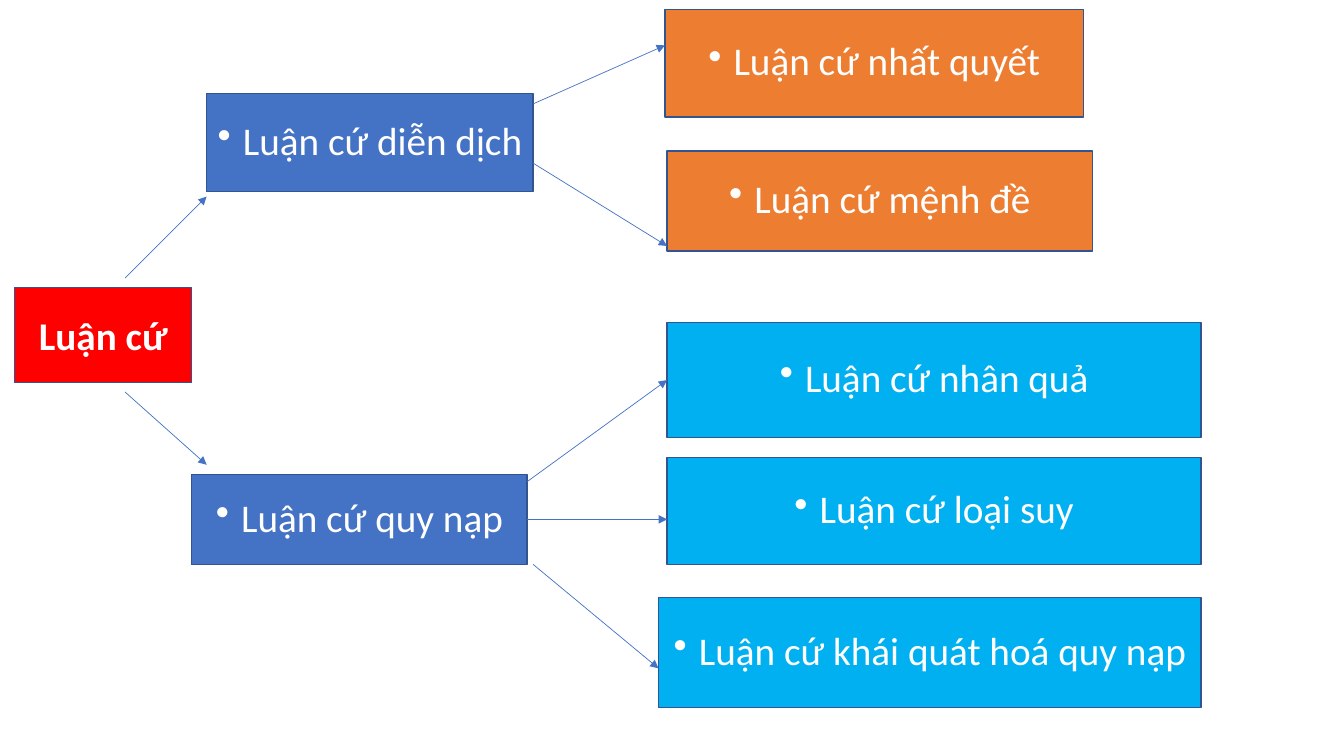
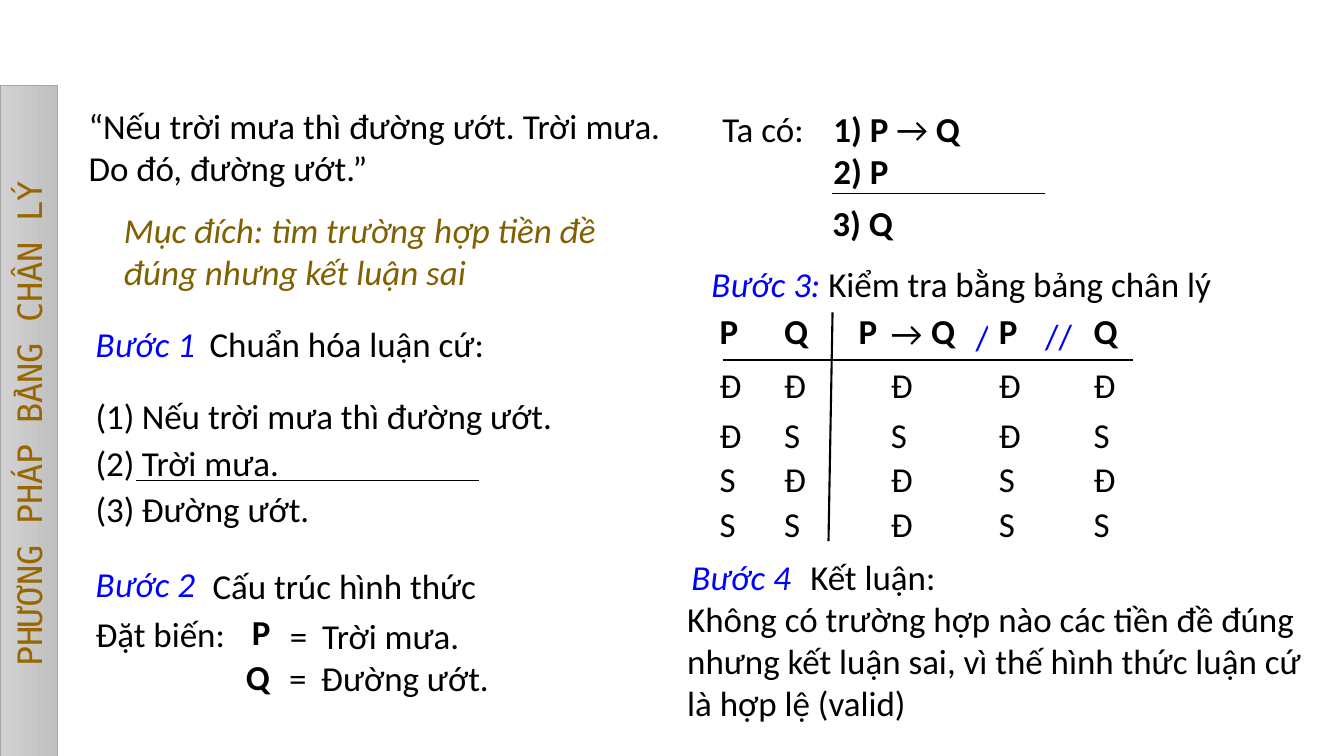
from pptx import Presentation
from pptx.dml.color import RGBColor
from pptx.enum.shapes import MSO_CONNECTOR, MSO_SHAPE
from pptx.enum.text import MSO_ANCHOR, MSO_AUTO_SIZE, PP_ALIGN
from pptx.oxml.ns import qn
from pptx.util import Pt
from lxml import etree

RECTANGLE = MSO_SHAPE.RECTANGLE
STRAIGHT = MSO_CONNECTOR.STRAIGHT
CENTER, JUSTIFY = PP_ALIGN.CENTER, PP_ALIGN.JUSTIFY
MIDDLE = MSO_ANCHOR.MIDDLE
GROW = MSO_AUTO_SIZE.SHAPE_TO_FIT_TEXT

# Colours
WHITE = RGBColor(0xFF, 0xFF, 0xFF)
BLACK = RGBColor(0, 0, 0)
RED = RGBColor(0xFF, 0, 0)
BLUE = RGBColor(0x44, 0x72, 0xC4)
ORANGE = RGBColor(0xED, 0x7D, 0x31)
SKY = RGBColor(0, 0xB0, 0xF0)
OUTLINE = RGBColor(0x32, 0x54, 0x91)
STEP_BLUE = RGBColor(0, 0, 0xFF)
OLIVE = RGBColor(0x80, 0x60, 0)
BROWN = RGBColor(0x99, 0x66, 0)
BAR_LIGHT = RGBColor(0xD2, 0xD2, 0xD2)
BAR_DARK = RGBColor(0xC0, 0xC0, 0xC0)
BAR_EDGE = RGBColor(0xA5, 0xA5, 0xA5)

# Text roles: colour, then font values
BODY_FONT = {"name": "Calibri", "size": Pt(25)}
NODE_FONT = {"name": "Calibri", "size": Pt(28)}
PLAIN = (BLACK, BODY_FONT)
BOLD = (BLACK, {**BODY_FONT, "bold": True})
STEP = (STEP_BLUE, {**BODY_FONT, "italic": True})
SLASH = (STEP_BLUE, BODY_FONT)
GOAL = (OLIVE, {**BODY_FONT, "italic": True})
ROOT = (WHITE, {**NODE_FONT, "bold": True})
NODE = (WHITE, NODE_FONT)
BAR = (BROWN, {"name": "DejaVu Sans Mono", "size": Pt(24)})

# Slide 1: argument tree (text, role, fill, left, top, width, height)
TREE = [
    ("Luận cứ", ROOT, RED, 10.4, 205.4, 126.6, 68),
    ("Luận cứ diễn dịch", NODE, BLUE, 147.6, 67, 233.3, 69.8),
    ("Luận cứ quy nạp", NODE, BLUE, 136.8, 339, 239.8, 64.2),
    ("Luận cứ nhất quyết", NODE, ORANGE, 475, 6.7, 298.8, 77),
    ("Luận cứ mệnh đề", NODE, ORANGE, 476.5, 107.8, 303.8, 71.6),
    ("Luận cứ nhân quả", NODE, SKY, 476.5, 230.4, 381.4, 82),
    ("Luận cứ loại suy", NODE, SKY, 476.5, 327, 381.4, 76.2),
    ("Luận cứ khái quát hoá quy nạp", NODE, SKY, 470.4, 427, 387.4, 78.4),
]
# Arrows (from x, from y, to x, to y)
ARROWS = [
    (89.3, 198.7, 147.6, 140.4), (89.3, 280, 147.6, 332),
    (380.9, 74.2, 475, 32.4), (380.9, 116.6, 476.5, 175.7),
    (376.6, 344, 476.5, 271.5), (376.6, 371, 476.5, 371),
    (380.9, 403.2, 470.4, 477.4),
]

# Slide 2: worked example (left, top, width, runs)
SIDE_TITLE = "PHƯƠNG PHÁP BẢNG CHÂN LÝ"
QUOTE = "“Nếu trời mưa thì đường ướt. Trời mưa. Do đó, đường ướt.”"
NOTES = [
    (81.4, 145.4, 381, [("Mục đích: tìm trường hợp tiền đề đúng nhưng kết luận sai", GOAL)]),
    (61.2, 226.8, 111, [("Bước 1", STEP)]),
    (142.6, 226.8, 317, [("Chuẩn hóa luận cứ:", PLAIN)]),
    (61.2, 398.2, 111, [("Bước 2", STEP)]),
    (144.7, 399.6, 317, [("Cấu trúc hình thức", PLAIN)]),
    (61.2, 434.2, 140, [("Đặt biến:", PLAIN)]),
    (172.8, 432.7, 58, [("P", BOLD)]),
    (200, 435.6, 279, [("=\tTrời mưa.", PLAIN)]),
    (168.5, 464.4, 45, [("Q", BOLD)]),
    (199.4, 465.1, 251, [("=\tĐường ướt.", PLAIN)]),
    (509, 73.4, 88, [("Ta có:", PLAIN)]),
    (588.2, 73.4, 277, [("1) P ", BOLD), ("→ ", PLAIN), ("Q", BOLD)]),
    (588.2, 103, 320, [("2) P", BOLD)]),
    (587.5, 140.4, 221, [("3) Q", BOLD)]),
    (501.1, 184.3, 423, [("Bước 3: ", STEP), ("Kiểm tra bằng bảng chân lý", PLAIN)]),
    (486.7, 393.1, 122, [("Bước 4", STEP)]),
    (571.7, 393.1, 234, [("Kết luận:", PLAIN)]),
    (483.8, 423.4, 468, [("Không có trường hợp nào các tiền đề đúng nhưng kết luận sai, "
                          "vì thế hình thức luận cứ là hợp lệ (valid)", PLAIN)]),
]
PREMISES = ["Nếu trời mưa thì đường ướt.", "Trời mưa.", "Đường ướt."]

# Truth table: header cells (text, role, width, drop) and rows
TABLE_LEFT, TABLE_TOP = 506.9, 222.5
HEADER = [
    ("P", BOLD, 46, 0), ("Q", BOLD, 53.3, 0), ("P", BOLD, 23, 0),
    ("→", PLAIN, 28.8, 1.4), ("Q", BOLD, 31.7, 0), ("/", SLASH, 16.6, 4.3),
    ("P", BOLD, 33.1, 0), ("//", SLASH, 34.6, 3.6), ("Q", BOLD, 44, 0),
]
VALUE_COLUMNS = (0, 1, 3, 6, 8)
TRUTH = ["ĐĐĐĐĐ", "ĐSSĐS", "SĐĐSĐ", "SSĐSS"]
ROW_HEIGHTS = (38.2, 36, 31.7, 31.7, 31.7)

# Rules (from x, from y, to x, to y, weight)
RULES = [
    (594, 138.2, 746.6, 138.2, 0.5), (97.2, 343.4, 342, 343.4, 0.5),
    (516.2, 257, 809.3, 257, 1.5), (594.7, 223.2, 591.8, 386.6, 1.5),
]


def add_run(paragraph, text, role):
    color, values = role
    run = paragraph.add_run()
    run.text = text
    for key, value in values.items():
        setattr(run.font, key, value)
    run.font.color.rgb = color


def add_marker(paragraph, tag, indent, **attributes):
    """Give the paragraph a hanging bullet or number."""
    properties = paragraph._p.get_or_add_pPr()
    properties.set("marL", str(Pt(indent)))
    properties.set("indent", str(-Pt(indent)))
    etree.SubElement(properties, qn(tag), attributes)


def add_tab(paragraph, position):
    tabs = etree.SubElement(paragraph._p.get_or_add_pPr(), qn("a:tabLst"))
    etree.SubElement(tabs, qn("a:tab"), pos=str(Pt(position)), algn="l")


def add_line(slide, ends, color, weight, arrow=False):
    line = slide.shapes.add_connector(STRAIGHT, *map(Pt, ends))
    line.line.color.rgb = color
    line.line.width = Pt(weight)
    if arrow:
        etree.SubElement(line.line._get_or_add_ln(), qn("a:tailEnd"), type="triangle")
    etree.SubElement(line._element.spPr, qn("a:effectLst"))


def add_box(slide, area, edge, weight, text, role):
    """Add an outlined box with centred text; the caller fills it."""
    box = slide.shapes.add_shape(RECTANGLE, *map(Pt, area))
    box.shadow.inherit = False
    box.line.color.rgb = edge
    box.line.width = Pt(weight)
    box.text_frame.word_wrap = True
    box.text_frame.vertical_anchor = MIDDLE
    paragraph = box.text_frame.paragraphs[0]
    paragraph.alignment = CENTER
    add_run(paragraph, text, role)
    return box


def add_frame(slide, left, top, width, height=37.4):
    frame = slide.shapes.add_textbox(*map(Pt, (left, top, width, height))).text_frame
    frame.word_wrap = True
    frame.auto_size = GROW
    return frame


def build_tree(slide):
    for text, role, fill, *area in TREE:
        box = add_box(slide, area, OUTLINE, 1, text, role)
        box.fill.solid()
        box.fill.fore_color.rgb = fill
        if role is NODE:
            paragraph = box.text_frame.paragraphs[0]
            paragraph.line_spacing = 0.9
            add_marker(paragraph, "a:buChar", 18, char="•")
    for ends in ARROWS:
        add_line(slide, ends, BLUE, 0.5, arrow=True)


def build_truth_table(slide):
    widths = [width for _, _, width, _ in HEADER]
    table = slide.shapes.add_table(
        len(ROW_HEIGHTS), len(HEADER), Pt(TABLE_LEFT), Pt(TABLE_TOP),
        Pt(sum(widths)), Pt(sum(ROW_HEIGHTS))).table
    table.first_row = table.horz_banding = False
    for column, width in zip(table.columns, widths):
        column.width = Pt(width)
    for row, height in zip(table.rows, ROW_HEIGHTS):
        row.height = Pt(height)
    for cell in table.iter_cells():
        cell.fill.background()
        cell.margin_left = Pt(7.2)
        cell.margin_right = cell.margin_top = cell.margin_bottom = 0
        cell.text_frame.paragraphs[0].font.size = Pt(25)
    for index, (text, role, _, drop) in enumerate(HEADER):
        cell = table.cell(0, index)
        cell.margin_top = Pt(drop)
        add_run(cell.text_frame.paragraphs[0], text, role)
    for row, values in enumerate(TRUTH, start=1):
        for column, value in zip(VALUE_COLUMNS, values):
            add_run(table.cell(row, column).text_frame.paragraphs[0], value, PLAIN)


def build_method(slide):
    # Vertical title bar
    bar = add_box(slide, (-221, 282.2, 483, 41), BAR_EDGE, 0.5, SIDE_TITLE, BAR)
    bar.rotation = 270
    bar.fill.gradient()
    bar.fill.gradient_angle = 270
    for stop, color in zip(bar.fill.gradient_stops, (BAR_LIGHT, BAR_DARK)):
        stop.color.rgb = color

    # Quoted argument and notes
    quote = add_frame(slide, 56.2, 71.3, 422.6, 67.7).paragraphs[0]
    quote.alignment = JUSTIFY
    add_run(quote, QUOTE, PLAIN)
    for left, top, width, runs in NOTES:
        paragraph = add_frame(slide, left, top, width).paragraphs[0]
        if "\t" in runs[0][0]:
            add_tab(paragraph, 23)
        for text, role in runs:
            add_run(paragraph, text, role)

    # Numbered premises
    frame = add_frame(slide, 61.2, 278.6, 402.5, 104.4)
    for index, premise in enumerate(PREMISES):
        paragraph = frame.add_paragraph() if index else frame.paragraphs[0]
        paragraph.space_after = Pt(3)
        add_marker(paragraph, "a:buAutoNum", 33, type="arabicParenBoth")
        add_run(paragraph, premise, PLAIN)

    build_truth_table(slide)
    for *ends, weight in RULES:
        add_line(slide, ends, BLACK, weight)


def main():
    deck = Presentation()
    deck.slide_width, deck.slide_height = Pt(960), Pt(540)
    for build in (build_tree, build_method):
        build(deck.slides.add_slide(deck.slide_layouts[6]))
    deck.save("out.pptx")


if __name__ == "__main__":
    main()
